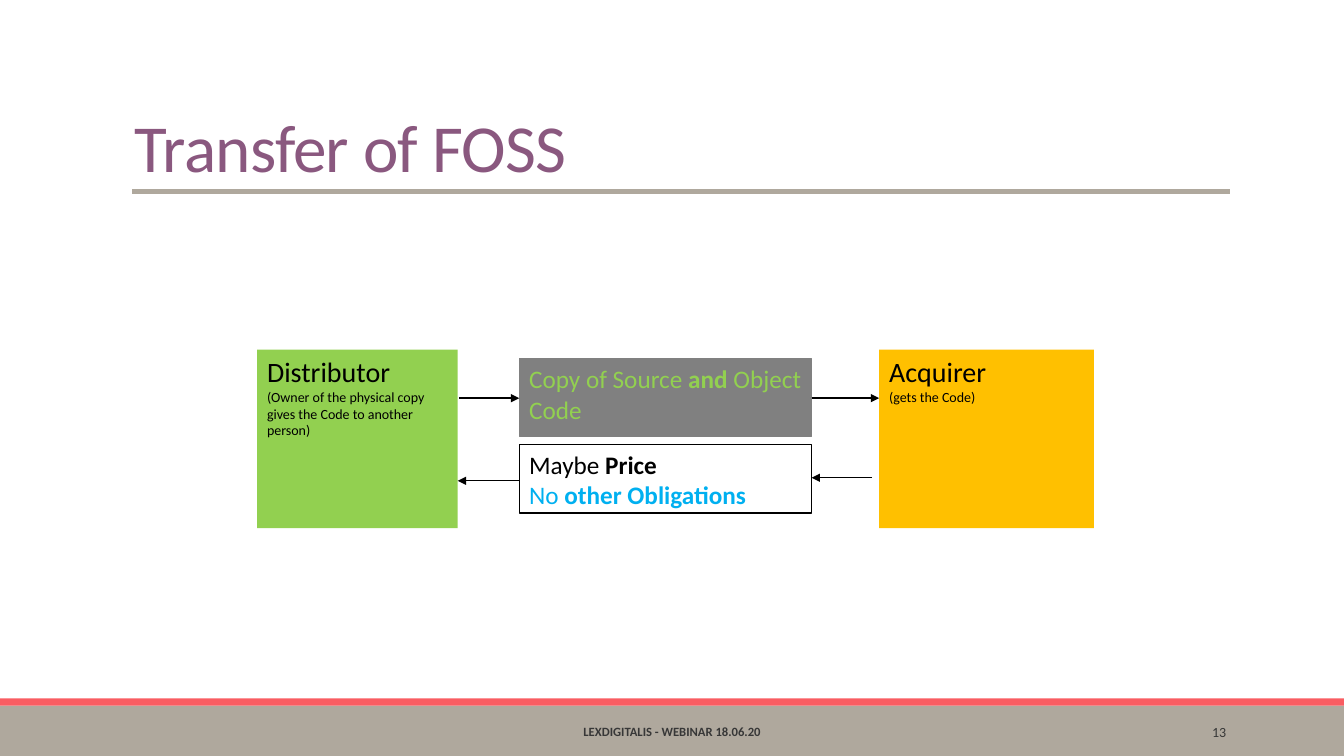
from pptx import Presentation
from pptx import util as u
from pptx.dml.color import RGBColor
from pptx.enum import shapes, text
from pptx.oxml.ns import qn
from lxml import etree

PX = 9144  # EMU per px, 100 px to the inch
COLORS = {
    "taupe": "AFA89D", "coral": "F95D62", "plum": "8A587F", "charcoal": "373737",
    "gray": "808080", "green": "92D050", "amber": "FFC000", "blue": "00B0F0",
    "black": "000000",
}

presentation = Presentation()
presentation.slide_width, presentation.slide_height = 1333 * PX, 750 * PX
slide = presentation.slides.add_slide(presentation.slide_layouts[6])


def add_box(bounds, fill=None, outline=None, paragraphs=(), anchor="TOP", align="LEFT", wrap=True):
    """Rectangle with paragraphs given as (size, color, [(text, bold), ...])."""
    shape = slide.shapes.add_shape(shapes.MSO_SHAPE.RECTANGLE, *[n * PX for n in bounds])
    shape.shadow.inherit = False
    if fill:
        shape.fill.solid()
        shape.fill.fore_color.rgb = RGBColor.from_string(COLORS[fill])
    else:
        shape.fill.background()
    if outline:
        shape.line.color.rgb = RGBColor.from_string(COLORS[outline])
        shape.line.width = u.Pt(0.75)
    else:
        shape.line.fill.background()
    frame = shape.text_frame
    frame.word_wrap = wrap
    frame.vertical_anchor = text.MSO_ANCHOR[anchor]
    for index, (size, color, runs) in enumerate(paragraphs):
        paragraph = frame.add_paragraph() if index else frame.paragraphs[0]
        paragraph.alignment = text.PP_ALIGN[align]
        paragraph.font.name = "Calibri"
        paragraph.font.size = u.Pt(size)
        paragraph.font.color.rgb = RGBColor.from_string(COLORS[color])
        for words, bold in runs:
            run = paragraph.add_run()
            run.text = words
            run.font.bold = bold
    return shape


def add_line(start, end, color, width, arrow=False):
    line = slide.shapes.add_connector(
        shapes.MSO_CONNECTOR.STRAIGHT, *[n * PX for n in start + end])
    line.line.color.rgb = RGBColor.from_string(COLORS[color])
    line.line.width = u.Pt(width)
    properties = line._element.spPr
    if arrow:
        etree.SubElement(properties.find(qn("a:ln")), qn("a:tailEnd"), type="triangle")
    etree.SubElement(properties, qn("a:effectLst"))


# Footer bands and title rule
add_box((0, 700, 1333, 50), "taupe")
add_box((0, 693, 1333, 7), "coral")
add_line((131, 190), (1220, 190), "taupe", 3)

# Title
title = add_box((124, 31, 718, 159), anchor="BOTTOM",
                paragraphs=[(48, "plum", [("Transfer of FOSS", False)])])
title_paragraph = title.text_frame.paragraphs[0]
title_paragraph.line_spacing = 0.85
title_paragraph.runs[0]._r.get_or_add_rPr().set("spc", "-50")

# Footer text and slide number
add_box((403, 706, 527, 40), anchor="MIDDLE", align="CENTER",
        paragraphs=[(9, "charcoal", [("LEXDIGITALIS - WEBINAR 18.06.20", True)])])
add_box((1083, 706, 143, 40), anchor="MIDDLE", align="RIGHT",
        paragraphs=[(10, "charcoal", [("13", False)])])

# What changes hands
add_box((515, 356, 290, 77), "gray", "gray", [
    (18, "green", [("Copy of Source ", False), ("and ", True), ("Object Code", False)])])
add_box((515, 441, 290, 68), None, "black", [
    (18, "black", [("Maybe ", False), ("Price", True)]),
    (18, "blue", [("No ", False), ("other Obligations", True)])], wrap=False)

# The two parties
add_box((255, 347, 199, 177), "green", None, [
    (20, "black", [("Distributor", False)]),
    (10, "black", [("(Owner of the physical copy", False)]),
    (10, "black", [("gives the Code to another person)", False)])])
add_box((872, 347, 213, 177), "amber", None, [
    (20, "black", [("Acquirer", False)]),
    (10, "black", [("(gets the Code)", False)])])

# Arrows: code to the right, price to the left
for start_x, end_x, y in [(455, 515, 395), (805, 872, 395), (865, 805, 474), (515, 454, 477)]:
    add_line((start_x, y), (end_x, y), "black", 1, arrow=True)

presentation.save("out.pptx")
